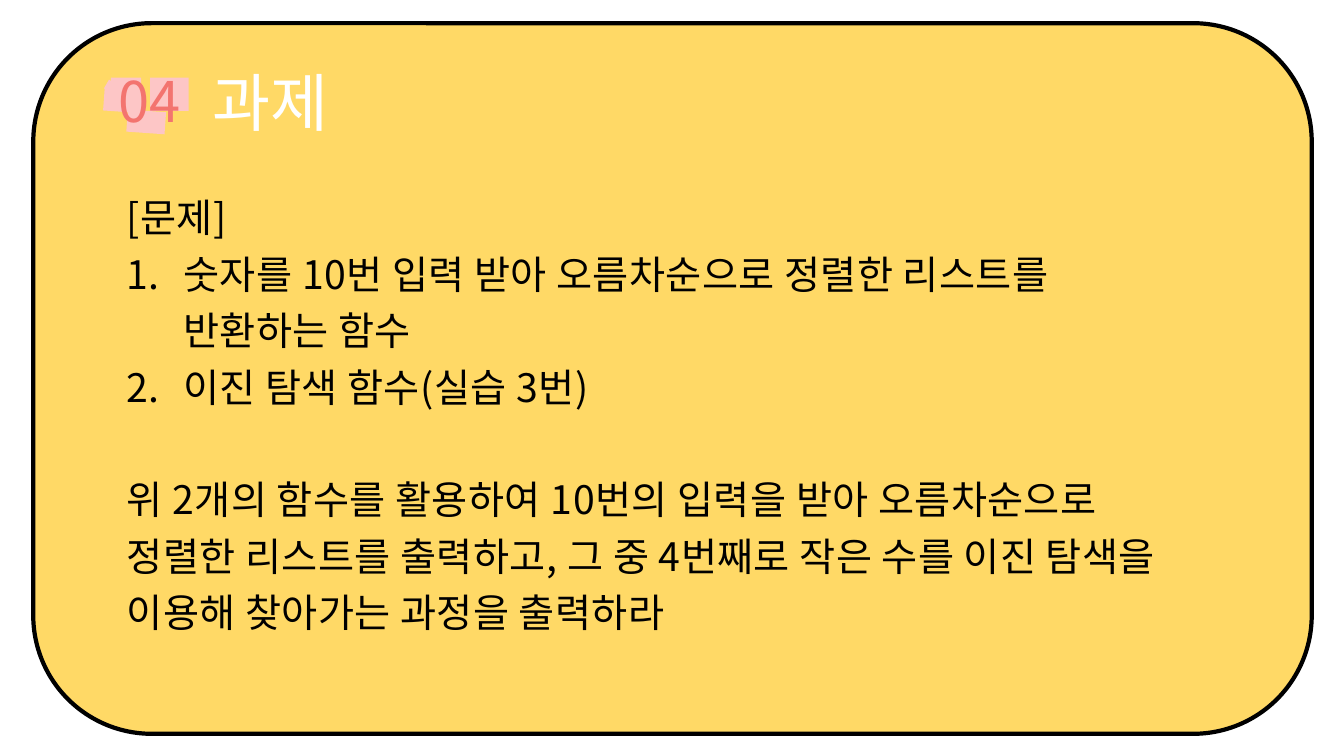
from lxml.etree import SubElement
from pptx import Presentation
from pptx.dml.color import RGBColor
from pptx.enum.shapes import MSO_SHAPE
from pptx.enum.text import MSO_ANCHOR, PP_ALIGN
from pptx.oxml.ns import qn
from pptx.util import Inches, Pt

FONT = "Noto Sans CJK KR"
COLORS = {"card": "FFD966", "ink": "000000", "patch": "FDC6C6",
          "number": "F3746F", "title": "FFFFFF"}
PATCHES = [(1.49, 0.77, 0.38, 0.33, 0), (1.1, 0.77, 0.3, 0.33, 0),
           (1.26, 1.1, 0.38, 0.22, 4.1), (1.03, 0.89, 0.38, 0.22, 4.1),
           (1.03, 0.88, 0.38, 0.1, 30.3)]
TASKS = ["숫자를 10번 입력 받아 오름차순으로 정렬한 리스트를 반환하는 함수",
         "이진 탐색 함수(실습 3번)"]
GOAL = ("위 2개의 함수를 활용하여 10번의 입력을 받아 오름차순으로 정렬한 리스트를 "
        "출력하고, 그 중 4번째로 작은 수를 이진 탐색을 이용해 찾아가는 과정을 출력하라")


def rgb(name):
    """Return the named colour."""
    return RGBColor.from_string(COLORS[name])


def add_block(s, kind, box, fill, line=None, rotation=0):
    """Add a filled shape, outlined if a line colour is named."""
    sp = s.shapes.add_shape(kind, *map(Inches, box))
    sp.shadow.inherit = False
    sp.rotation = rotation
    sp.fill.solid()
    sp.fill.fore_color.rgb = rgb(fill)
    if line:
        sp.line.color.rgb = rgb(line)
        sp.line.width = Pt(3)
    else:
        sp.line.fill.background()


def add_run(p, text, size, color, spacing=0):
    """Add a run in the slide font, spaced in hundredths of a point."""
    r = p.add_run()
    r.text = text
    r.font.size = Pt(size)
    r.font.name = FONT
    r.font.color.rgb = rgb(color)
    r.font._element.set("spc", str(spacing))
    SubElement(r.font._element, qn("a:ea"), typeface=FONT)


def prepare_frame(sp):
    """Make a text frame wrap from its top left corner."""
    tf = sp.text_frame
    tf.word_wrap = True
    tf.vertical_anchor = MSO_ANCHOR.TOP
    tf.paragraphs[0].alignment = PP_ALIGN.LEFT
    return tf


def add_text_box(s, box):
    """Add an empty wrapping text box and return its frame."""
    return prepare_frame(s.shapes.add_textbox(*map(Inches, box)))


def set_title(s, text, box):
    """Place the title placeholder in front of the card."""
    sp = s.shapes.title
    sp.left, sp.top, sp.width, sp.height = map(Inches, box)
    p = prepare_frame(sp).paragraphs[0]
    p.line_spacing = 1.0
    add_run(p, text, 45, "title")
    sp.element.getparent().append(sp.element)


def number_paragraph(p):
    """Number a paragraph with a hanging indent."""
    pPr = p._p.get_or_add_pPr()
    pPr.set("marL", str(Inches(0.56)))
    pPr.set("indent", str(-Inches(0.56)))
    SubElement(pPr, qn("a:buFont"), typeface="+mj-lt")
    SubElement(pPr, qn("a:buAutoNum"), type="arabicPeriod")


def add_assignment(s, box):
    """Write the heading, the numbered tasks and the goal."""
    tf = add_text_box(s, box)
    for i, text in enumerate(["[문제]", *TASKS, GOAL]):
        p = tf.paragraphs[0] if i == 0 else tf.add_paragraph()
        p.line_spacing = 1.2
        if text == GOAL:
            p.space_before = Pt(40)
        if text in TASKS:
            number_paragraph(p)
        add_run(p, text, 28, "ink", spacing=35)


def main():
    """Build and save the assignment slide."""
    prs = Presentation()
    prs.slide_width, prs.slide_height = Inches(13.33), Inches(7.5)
    s = prs.slides.add_slide(prs.slide_layouts[5])
    add_block(s, MSO_SHAPE.ROUNDED_RECTANGLE, (0.33, 0.23, 12.68, 7.05), "card", "ink")
    for *box, rotation in PATCHES:
        add_block(s, MSO_SHAPE.RECTANGLE, box, "patch", rotation=rotation)
    number = add_text_box(s, (1.08, 0.61, 1.46, 0.77))
    add_run(number.paragraphs[0], "04", 40, "number")
    set_title(s, "과제", (2.01, 0.58, 5.53, 0.86))
    add_assignment(s, (1.16, 1.78, 10.84, 4.62))
    prs.save("out.pptx")


if __name__ == "__main__":
    main()
